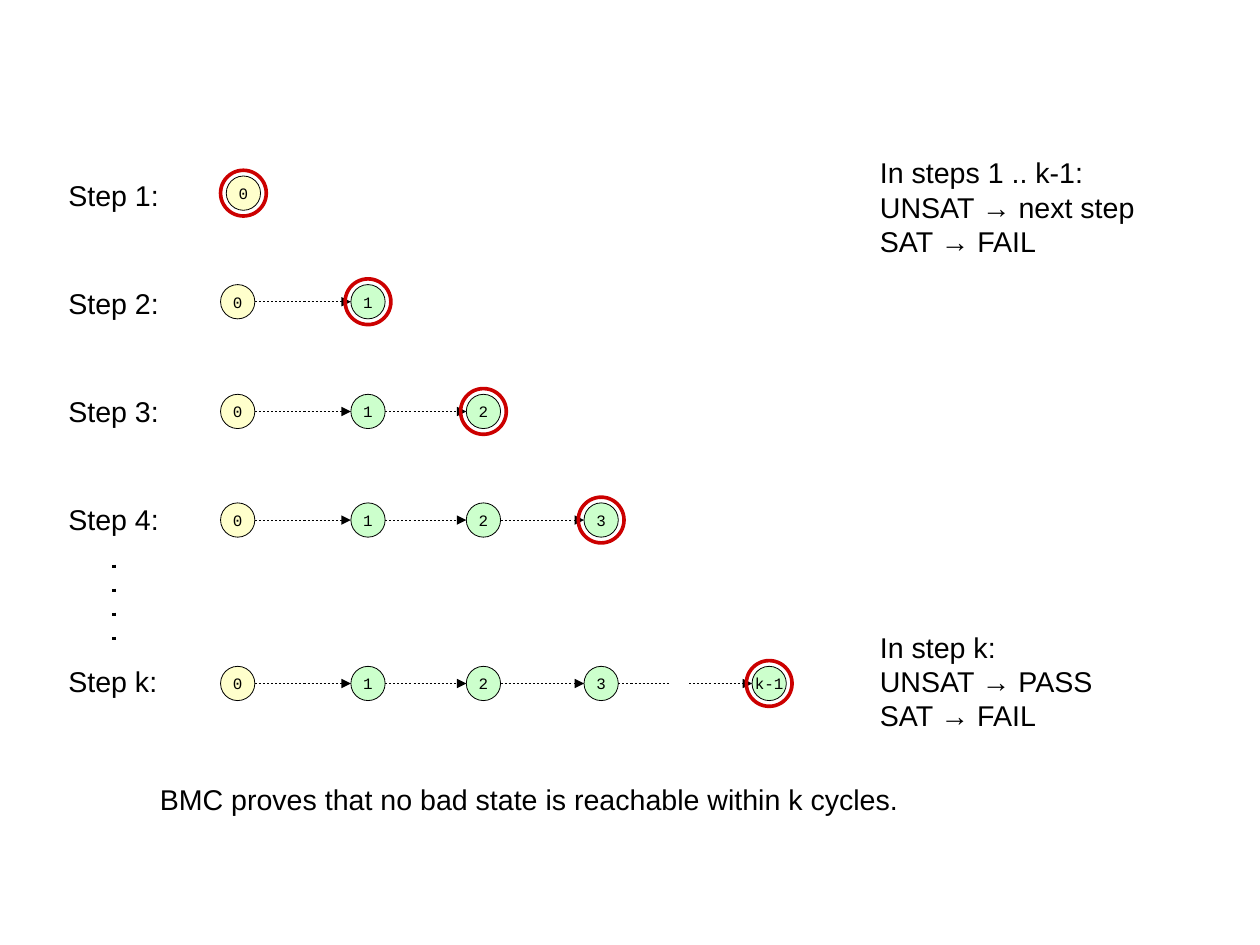
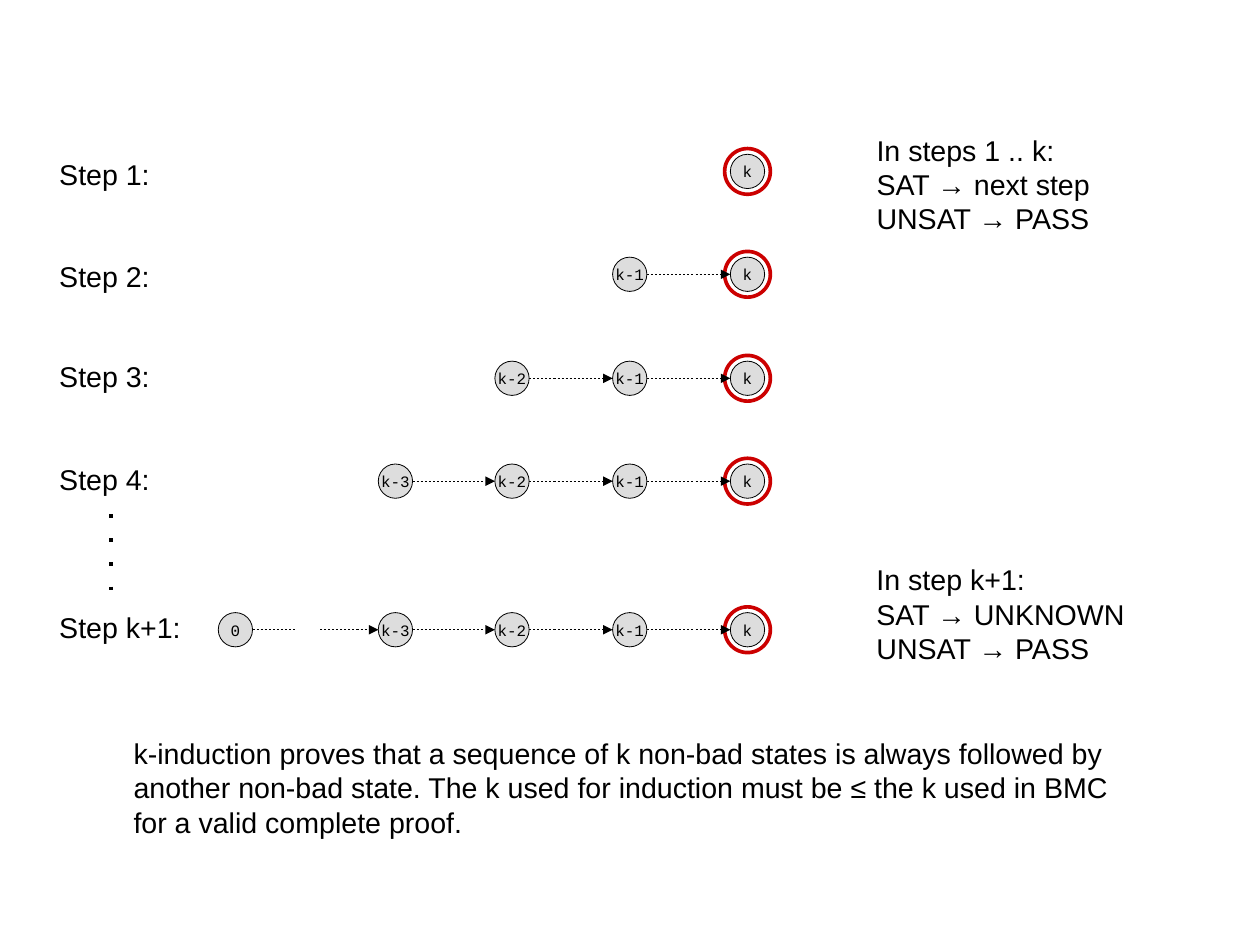
from dataclasses import dataclass
from itertools import pairwise
from lxml import etree
from pptx import Presentation
from pptx.dml.color import RGBColor as Rgb
from pptx.enum import shapes, text
from pptx.oxml import ns
from pptx.util import Cm, Inches, Pt


@dataclass(frozen=True)
class Theme:
    body: str = "Arial"
    code: str = "Courier New"
    size: int = 18
    small: int = 10
    ink: str = "000000"
    bad: str = "CC0000"
    init: str = "FFFFCC"
    good: str = "CCFFCC"
    any: str = "DDDDDD"
    hair: float = 0.5
    thick: float = 2.3


T = Theme()
NODE, RING = 0.3, 0.4
DOTS, TRAIL = (250, 250), (100, 560)  # dash and space, in % of line width

# Content: states are (label, left, fill); steps are (label, top, node top)
BMC = {
    "states": [("0", 1.93, T.init), ("1", 3.07, T.good), ("2", 4.08, T.good),
               ("3", 5.11, T.good), ("k-1", 6.58, T.good)],
    "forward": True,
    "gap": (5.85, 6.03),
    "nudge": 0.05,
    "left": 0.5,
    "steps": [("Step 1:", 1.51, 1.54), ("Step 2:", 2.45, 2.49),
              ("Step 3:", 3.4, 3.45), ("Step 4:", 4.34, 4.4),
              ("Step k:", 5.76, 5.83)],
    "trail": (1, 4.94, 5.7),
    "notes": [
        ((7.6, 1.31, 2.82, 1.04),
         ["In steps 1 .. k-1:", "UNSAT → next step", "SAT → FAIL"]),
        ((7.6, 5.46, 2.6, 1.14),
         ["In step k:", "UNSAT → PASS", "SAT → FAIL"]),
        ((1.3, 6.79, 6.8, 0.38),
         ["BMC proves that no bad state is reachable within k cycles."]),
    ],
}
INDUCT = {
    "states": [("0", 1.91, T.any), ("k-3", 3.31, T.any), ("k-2", 4.33, T.any),
               ("k-1", 5.36, T.any), ("k", 6.39, T.any)],
    "forward": False,
    "gap": (2.59, 2.8),
    "nudge": 0,
    "left": 0.42,
    "steps": [("Step 1:", 1.32, 1.35), ("Step 2:", 2.22, 2.25),
              ("Step 3:", 3.09, 3.16), ("Step 4:", 3.99, 4.06),
              ("Step k+1:", 5.29, 5.36)],
    "trail": (0.97, 4.5, 5.26),
    "notes": [
        ((7.57, 1.11, 2.82, 1.04),
         ["In steps 1 .. k:", "SAT → next step", "UNSAT → PASS"]),
        ((7.57, 4.87, 2.6, 1.14),
         ["In step k+1:", "SAT → UNKNOWN", "UNSAT → PASS"]),
        ((1.07, 6.39, 9.3, 0.94),
         ["k-induction proves that a sequence of k non-bad states is always "
          "followed by another non-bad state. The k used for induction must "
          "be ≤ the k used in BMC", "for a valid complete proof."]),
    ],
}


# Drawing helpers
def style(para, name, size):
    para.font.name, para.font.size = name, Pt(size)
    para.font.color.rgb = Rgb.from_string(T.ink)


def write(slide, box, lines):
    frame = slide.shapes.add_textbox(*map(Inches, box)).text_frame
    frame.word_wrap = True
    frame.text = "\n".join(lines)
    for para in frame.paragraphs:
        style(para, T.body, T.size)


def circle(slide, left, top, size, line, width, fill=None):
    shape = slide.shapes.add_shape(
        shapes.MSO_SHAPE.OVAL, *map(Inches, (left, top, size, size)))
    shape.shadow.inherit = False
    shape.line.color.rgb = Rgb.from_string(line)
    shape.line.width = Pt(width)
    if fill:
        shape.fill.solid()
        shape.fill.fore_color.rgb = Rgb.from_string(fill)
    else:
        shape.fill.background()
    return shape


def node(slide, label, left, top, fill):
    frame = circle(slide, left, top, NODE, T.ink, T.hair, fill).text_frame
    frame.margin_left = frame.margin_right = 0
    frame.margin_top = frame.margin_bottom = 0
    frame.word_wrap = False
    frame.vertical_anchor = text.MSO_ANCHOR.MIDDLE
    frame.text = label
    para = frame.paragraphs[0]
    para.alignment = text.PP_ALIGN.CENTER
    style(para, T.code, T.small)


def rule(slide, ends, width, dash, head=False):
    line = slide.shapes.add_connector(
        shapes.MSO_CONNECTOR.STRAIGHT, *map(Inches, ends))
    line.line.color.rgb = Rgb.from_string(T.ink)
    line.line.width = Pt(width)
    props = line._element.spPr
    ln = props.find(ns.qn("a:ln"))
    cust = etree.SubElement(ln, ns.qn("a:custDash"))
    on, off = (str(part * 1000) for part in dash)
    etree.SubElement(cust, ns.qn("a:ds"), d=on, sp=off)
    if head:
        etree.SubElement(ln, ns.qn("a:tailEnd"), type="triangle")
    etree.SubElement(props, ns.qn("a:effectLst"))


def arrows(slide, lefts, mid, gap):
    for prev, end in pairwise(lefts):
        start = prev + NODE
        if start < gap[0] < end:
            rule(slide, (start, mid, gap[0], mid), T.hair, DOTS)
            start = gap[1]
        rule(slide, (start, mid, end, mid), T.hair, DOTS, True)


def chain(slide, data, count, top):
    states, ahead = data["states"], data["forward"]
    row = states[:count] if ahead else states[-count:]
    nudge = data["nudge"] if count == 1 else 0
    lefts = [left + nudge for _, left, _ in row]
    for (label, _, fill), left in zip(row, lefts):
        node(slide, label, left, top, fill)
    # Forward chains end beneath the ring, backward ones above it
    if ahead:
        arrows(slide, lefts, top + NODE / 2, data["gap"])
    inset = (RING - NODE) / 2
    circle(slide, lefts[-1] - inset, top - inset, RING, T.bad, T.thick)
    if not ahead:
        arrows(slide, lefts, top + NODE / 2, data["gap"])


def build(deck, data):
    slide = deck.slides.add_slide(deck.slide_layouts[6])
    for count, (label, top, level) in enumerate(data["steps"], 1):
        write(slide, (data["left"], top, 1.4, 0.38), [label])
        chain(slide, data, count, level)
    mid, top, end = data["trail"]
    rule(slide, (mid, top, mid, end), T.thick, TRAIL)
    for box, lines in data["notes"]:
        write(slide, box, lines)


def main():
    deck = Presentation()
    deck.slide_width, deck.slide_height = Cm(28), Cm(21)
    for data in (BMC, INDUCT):
        build(deck, data)
    deck.save("out.pptx")


if __name__ == "__main__":
    main()
